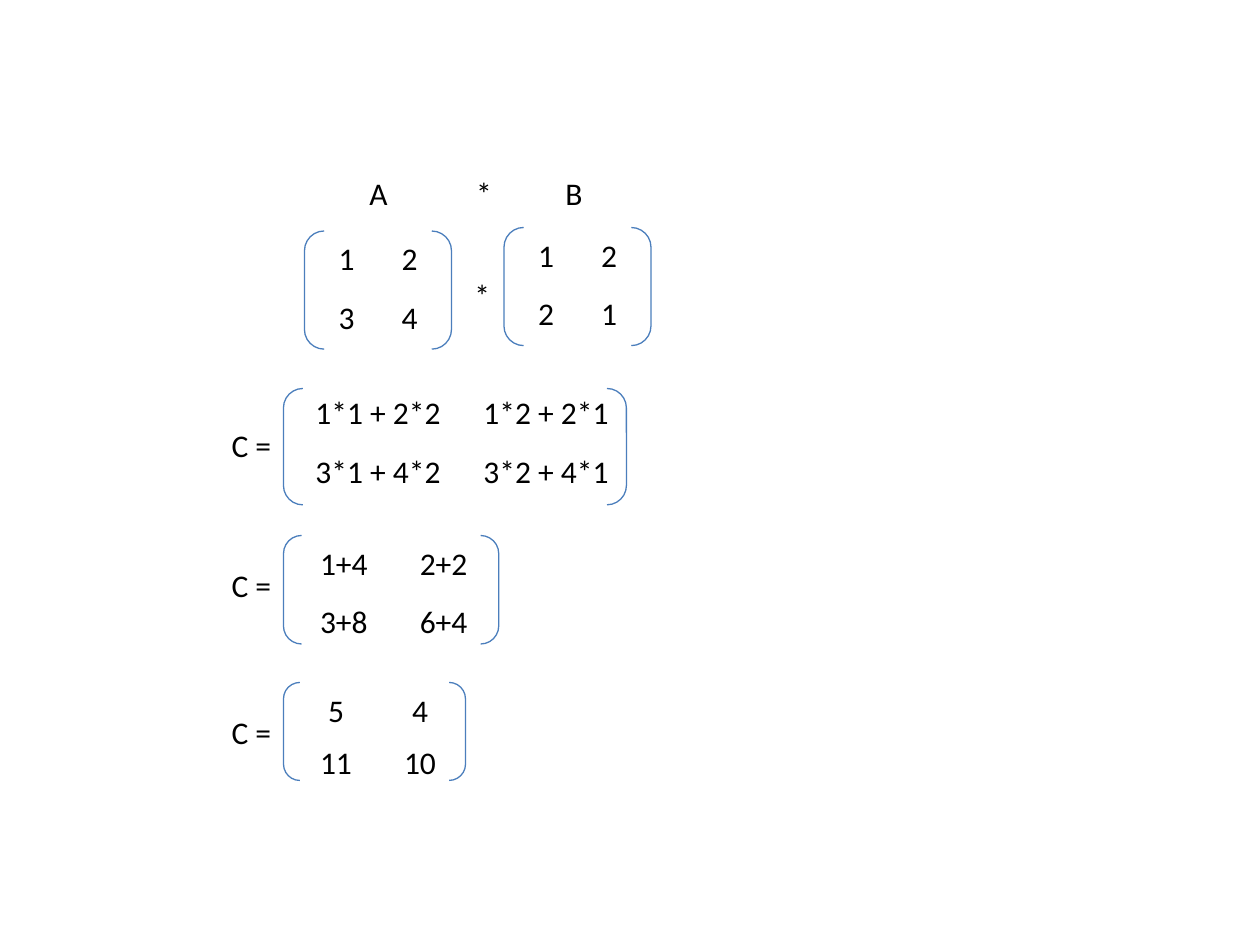
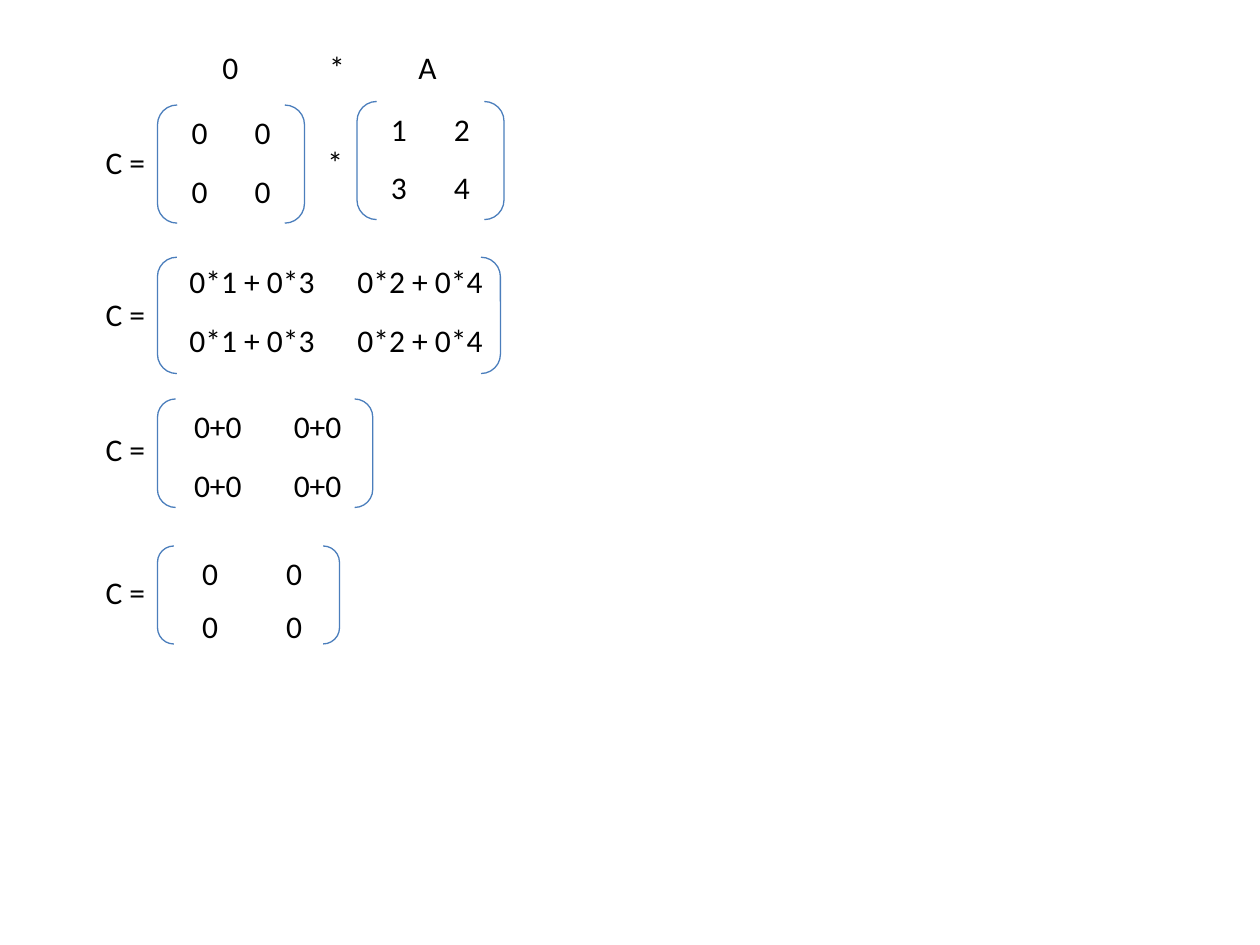
from pptx import Presentation
from pptx.dml.color import RGBColor
from pptx.enum.shapes import MSO_SHAPE
from pptx.enum.text import MSO_AUTO_SIZE, PP_ALIGN
from pptx.oxml.ns import qn
from pptx.util import Pt
from lxml.etree import SubElement

THEME = {
    "font": {"name": "Calibri", "size": Pt(18), "bold": False},
    "text": RGBColor(0, 0, 0),
    "bracket": RGBColor(0x4B, 0x7E, 0xBC),
    "line": Pt(0.75),
}

KINDS = {
    "operand": {"bracket": (84, 67.5), "col": 36, "rows": (33.4, 33.4), "drop": 2},
    "product": {"bracket": (196, 66.5), "col": 96, "rows": (33.4, 33.4), "drop": 0},
    "sum": {"bracket": (123, 62), "col": 57, "rows": (33.4, 32.6), "drop": 2},
    "result": {"bracket": (104, 56), "col": 48, "rows": (30, 29.7), "drop": 2},
}

SLIDES = [
    {
        "left": 162, "operand_left": 174, "operand_top": 132,
        "header": ("A", "*", "B"), "header_width": 210, "star_top": 154,
        "operands": [[("1", "2"), ("3", "4")], [("1", "2"), ("2", "1")]],
        "steps": [
            ("product", 222, [("1*1 + 2*2", "1*2 + 2*1"), ("3*1 + 4*2", "3*2 + 4*1")]),
            ("sum", 306, [("1+4", "2+2"), ("3+8", "6+4")]),
            ("result", 390, [("5", "4"), ("11", "10")]),
        ],
        "label_tops": (240, 320, 404),
    },
    {
        "left": 90, "operand_left": 90, "operand_top": 60,
        "header": ("0", "*", "A"), "header_width": 150, "star_top": 78,
        "operands": [[("0", "0"), ("0", "0")], [("1", "2"), ("3", "4")]],
        "steps": [
            ("product", 147, [("0*1 + 0*3", "0*2 + 0*4")] * 2),
            ("sum", 228, [("0+0", "0+0")] * 2),
            ("result", 312, [("0", "0")] * 2),
        ],
        "label_tops": (78, 165, 242, 324),
    },
]

OPERAND_STEP = 114
OPERAND_RISE = 2
TABLE_INSET = 6
STAR_SHIFT = 90
LABEL_WIDTH = 48
HEADER_SHIFT = (30, -36)
HEADER_TABS = (61, 112)


def write(tf, text, align, tabs=()):
    p = tf.paragraphs[0]
    p.alignment = align
    if tabs:
        tab_list = SubElement(p._p.get_or_add_pPr(), qn("a:tabLst"))
        for pos in tabs:
            SubElement(tab_list, qn("a:tab"), pos=str(Pt(pos)), algn="l")
    r = p.add_run()
    r.text = text
    for name, value in THEME["font"].items():
        setattr(r.font, name, value)
    r.font.color.rgb = THEME["text"]


def add_text(s, text, box, align, tabs=()):
    tf = s.shapes.add_textbox(*map(Pt, box)).text_frame
    tf.word_wrap = True
    tf.auto_size = MSO_AUTO_SIZE.SHAPE_TO_FIT_TEXT
    write(tf, text, align, tabs)


def add_matrix(s, kind, left, top, values):
    k = KINDS[kind]
    box = (left + TABLE_INSET, top + k["drop"], 2 * k["col"], sum(k["rows"]))
    table = s.shapes.add_table(2, 2, *map(Pt, box)).table
    table.first_row = table.horz_banding = False
    for row, height, texts in zip(table.rows, k["rows"], values):
        row.height = Pt(height)
        for cell, text in zip(row.cells, texts):
            cell.fill.background()
            write(cell.text_frame, text, PP_ALIGN.CENTER)
    sp = s.shapes.add_shape(
        MSO_SHAPE.DOUBLE_BRACKET, *map(Pt, (left, top, *k["bracket"])))
    sp.shadow.inherit = False
    sp.fill.background()
    sp.line.color.rgb = THEME["bracket"]
    sp.line.width = THEME["line"]


def add_multiplication(prs, d):
    s = prs.slides.add_slide(prs.slide_layouts[6])
    left, top = d["operand_left"], d["operand_top"]
    dx, dy = HEADER_SHIFT
    add_text(s, "\t".join(d["header"]), (left + dx, top + dy, d["header_width"], 30),
             PP_ALIGN.LEFT, HEADER_TABS)
    for i, values in enumerate(d["operands"]):
        add_matrix(s, "operand", left + i * OPERAND_STEP, top - i * OPERAND_RISE, values)
    add_text(s, "*", (left + STAR_SHIFT, d["star_top"], 18, 29), PP_ALIGN.CENTER)
    for kind, step_top, values in d["steps"]:
        add_matrix(s, kind, d["left"], step_top, values)
    for label_top in d["label_tops"]:
        add_text(s, "C =", (d["left"] - LABEL_WIDTH, label_top, LABEL_WIDTH, 29),
                 PP_ALIGN.RIGHT)


def main():
    prs = Presentation()
    prs.slide_width, prs.slide_height = Pt(720), Pt(540)
    for d in SLIDES:
        add_multiplication(prs, d)
    prs.save("out.pptx")


if __name__ == "__main__":
    main()
